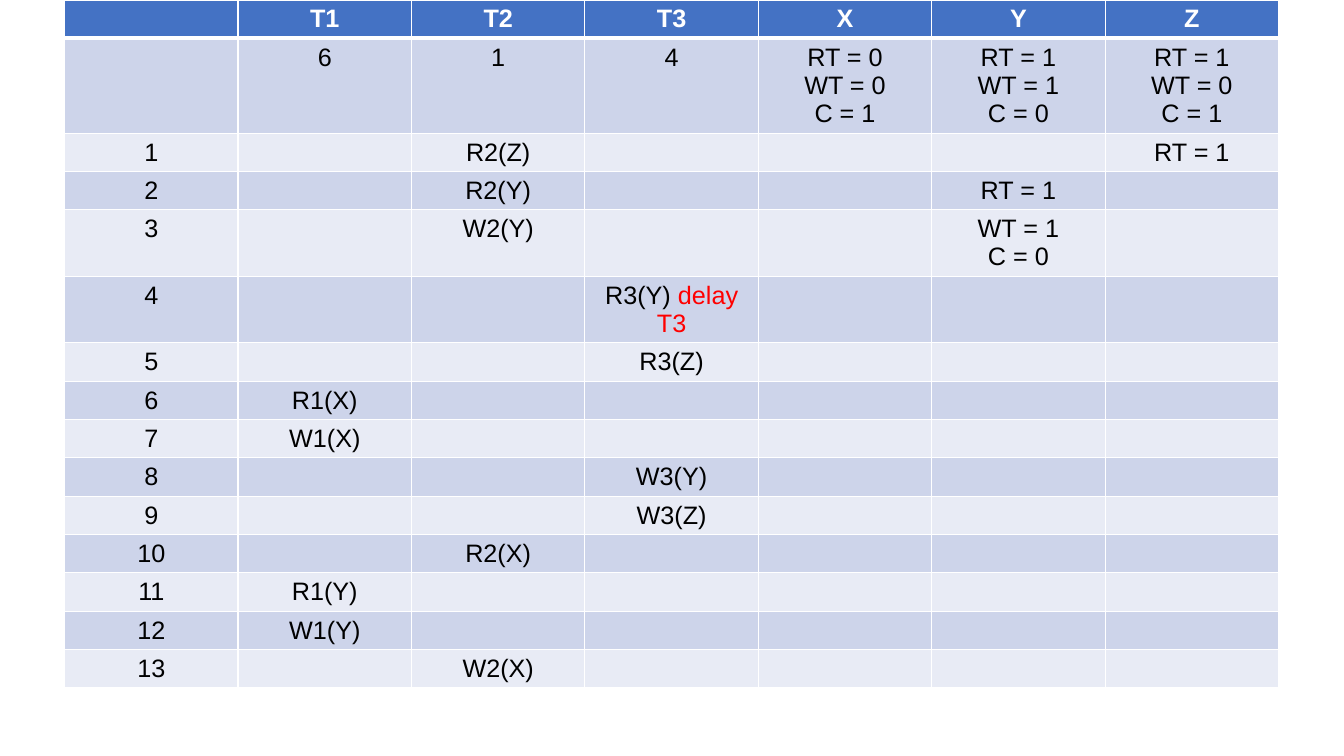
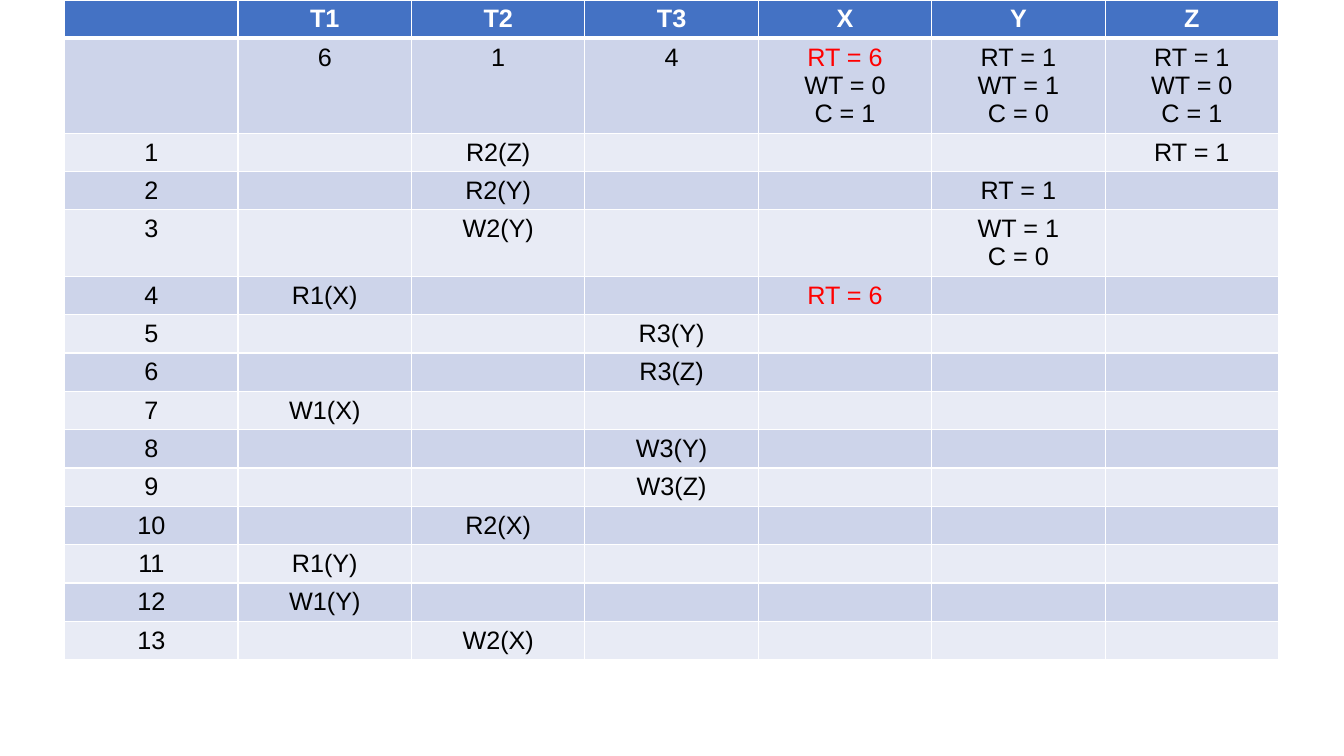
"""Build two slides that trace a timestamp schedule of three transactions."""
from math import ceil

from lxml.etree import SubElement
from pptx import Presentation
from pptx.dml.color import RGBColor
from pptx.enum.text import PP_ALIGN
from pptx.oxml.ns import qn
from pptx.util import Cm, Pt

COLORS = {"header": "4472C4", "dark_band": "CDD4EA", "light_band": "E8EBF5",
          "white": "FFFFFF", "black": "000000", "red": "FF0000"}
FONT = "Arial"
TEXT_SIZE = 18
COLUMNS = ["", "T1", "T2", "T3", "X", "Y", "Z"]

# Text between bars is red.
START = {"T1": "6", "T2": "1", "T3": "4", "X": "RT = 0\nWT = 0\nC = 1",
         "Y": "RT = 1\nWT = 1\nC = 0", "Z": "RT = 1\nWT = 0\nC = 1"}
FIRST_STEPS = [
    {"T2": "R2(Z)", "Z": "RT = 1"},
    {"T2": "R2(Y)", "Y": "RT = 1"},
    {"T2": "W2(Y)", "Y": "WT = 1\nC = 0"},
]
LAST_STEPS = [
    {"T1": "W1(X)"}, {"T3": "W3(Y)"}, {"T3": "W3(Z)"}, {"T2": "R2(X)"},
    {"T1": "R1(Y)"}, {"T1": "W1(Y)"}, {"T2": "W2(X)"},
]
SCHEDULES = [
    (START, [{"T3": "R3(Y) |delay T3|"}, {"T3": "R3(Z)"}, {"T1": "R1(X)"}]),
    (START | {"X": "|RT = 6|\nWT = 0\nC = 1"},
     [{"T1": "R1(X)", "X": "|RT = 6|"}, {"T3": "R3(Y)"}, {"T3": "R3(Z)"}]),
]

TABLE_LEFT = Cm(1.63)
COLUMN_WIDTH = Cm(4.37)
LINE_HEIGHT = 0.71
CELL_PADDING = 0.25
LINE_LENGTH = 12


def rgb(name):
    return RGBColor.from_string(COLORS[name])


def write_text(cell, text, color="black", bold=False):
    """Fill a cell with centred paragraphs, one for each line of text."""
    frame = cell.text_frame
    for index, line in enumerate(text.split("\n")):
        para = frame.add_paragraph() if index else frame.paragraphs[0]
        para.alignment = PP_ALIGN.CENTER
        for part, words in enumerate(line.split("|")):
            if words:
                span = para.add_run()
                span.text = words
                span.font.name = FONT
                span.font.size = Pt(TEXT_SIZE)
                span.font.bold = bold
                span.font.color.rgb = rgb("red" if part % 2 else color)
        if not line:
            ending = SubElement(para._p, qn("a:endParaRPr"), sz=str(TEXT_SIZE * 100))
            SubElement(ending, qn("a:latin"), typeface=FONT)


def draw_borders(cell, top=1, bottom=1):
    """Give a cell white borders with widths in points."""
    properties = cell._tc.get_or_add_tcPr()
    for side, width in (("L", 1), ("R", 1), ("T", top), ("B", bottom)):
        border = SubElement(properties, qn(f"a:ln{side}"), w=str(Pt(width)))
        fill = SubElement(border, qn("a:solidFill"))
        SubElement(fill, qn("a:srgbClr"), val=COLORS["white"])


def row_height(texts):
    """Return the height of a row that holds its longest cell."""
    lines = max(sum(max(1, ceil(len(line) / LINE_LENGTH)) for line in text.split("\n"))
                for text in texts)
    return Cm(CELL_PADDING + LINE_HEIGHT * lines)


def add_schedule(deck, start, middle_steps):
    """Add a slide with one schedule table."""
    page = deck.slides.add_slide(deck.slide_layouts[6])
    steps = FIRST_STEPS + middle_steps + LAST_STEPS
    rows = [COLUMNS, [start.get(column, "") for column in COLUMNS]]
    rows += [[str(number)] + [step.get(column, "") for column in COLUMNS[1:]]
             for number, step in enumerate(steps, 1)]
    heights = [row_height(texts) for texts in rows]
    table = page.shapes.add_table(len(rows), len(COLUMNS), TABLE_LEFT, Cm(0),
                                  COLUMN_WIDTH * len(COLUMNS), sum(heights)).table
    for column in table.columns:
        column.width = COLUMN_WIDTH
    for index, (texts, height) in enumerate(zip(rows, heights)):
        table.rows[index].height = height
        is_header = index == 0
        band = "header" if is_header else "dark_band" if index % 2 else "light_band"
        for cell, text in zip(table.rows[index].cells, texts):
            draw_borders(cell, top=3 if index == 1 else 1, bottom=3 if is_header else 1)
            cell.fill.solid()
            cell.fill.fore_color.rgb = rgb(band)
            write_text(cell, text, color="white" if is_header else "black", bold=is_header)


def main():
    deck = Presentation()
    deck.slide_width, deck.slide_height = Cm(33.87), Cm(19.05)
    for start, middle_steps in SCHEDULES:
        add_schedule(deck, start, middle_steps)
    deck.save("out.pptx")


if __name__ == "__main__":
    main()
